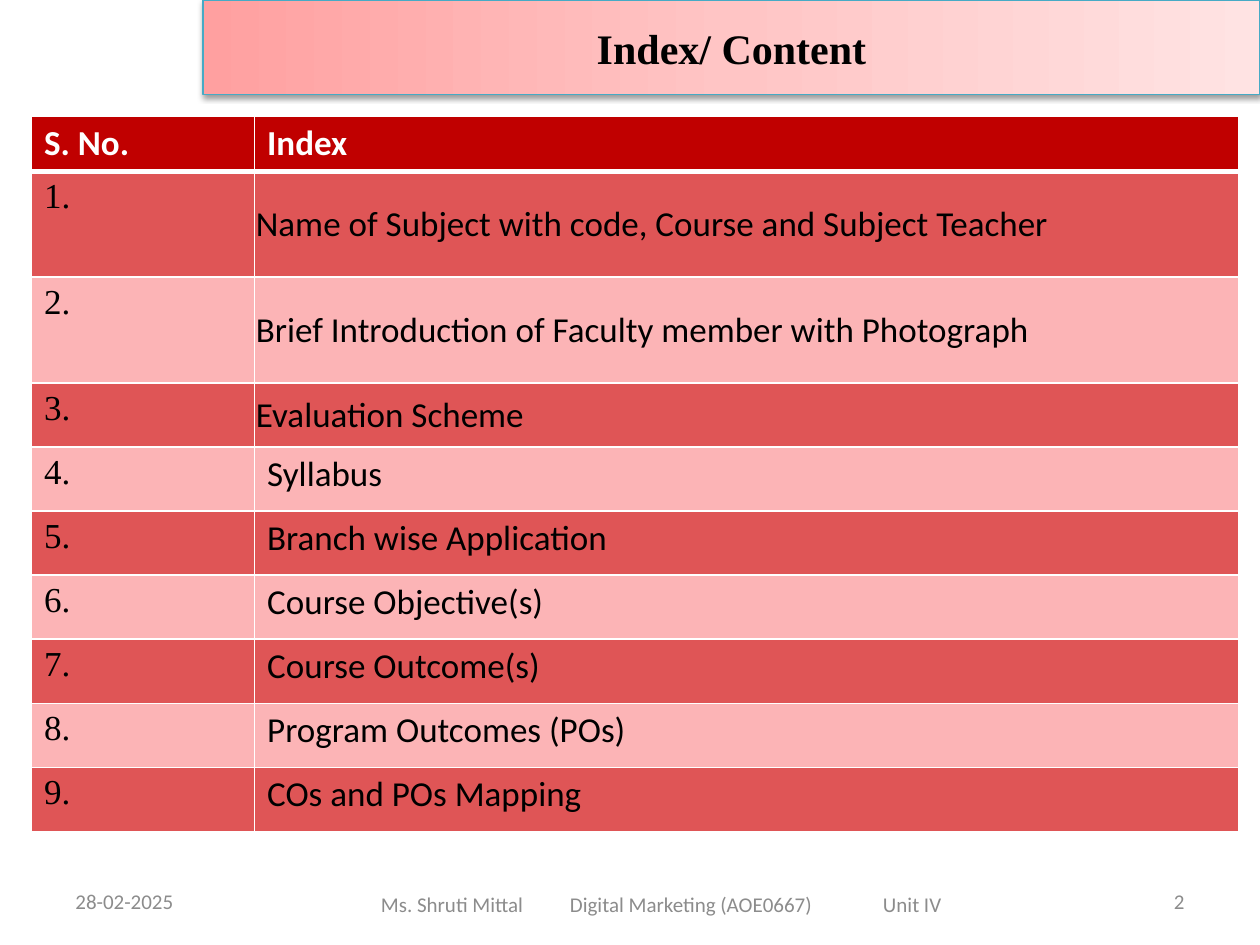
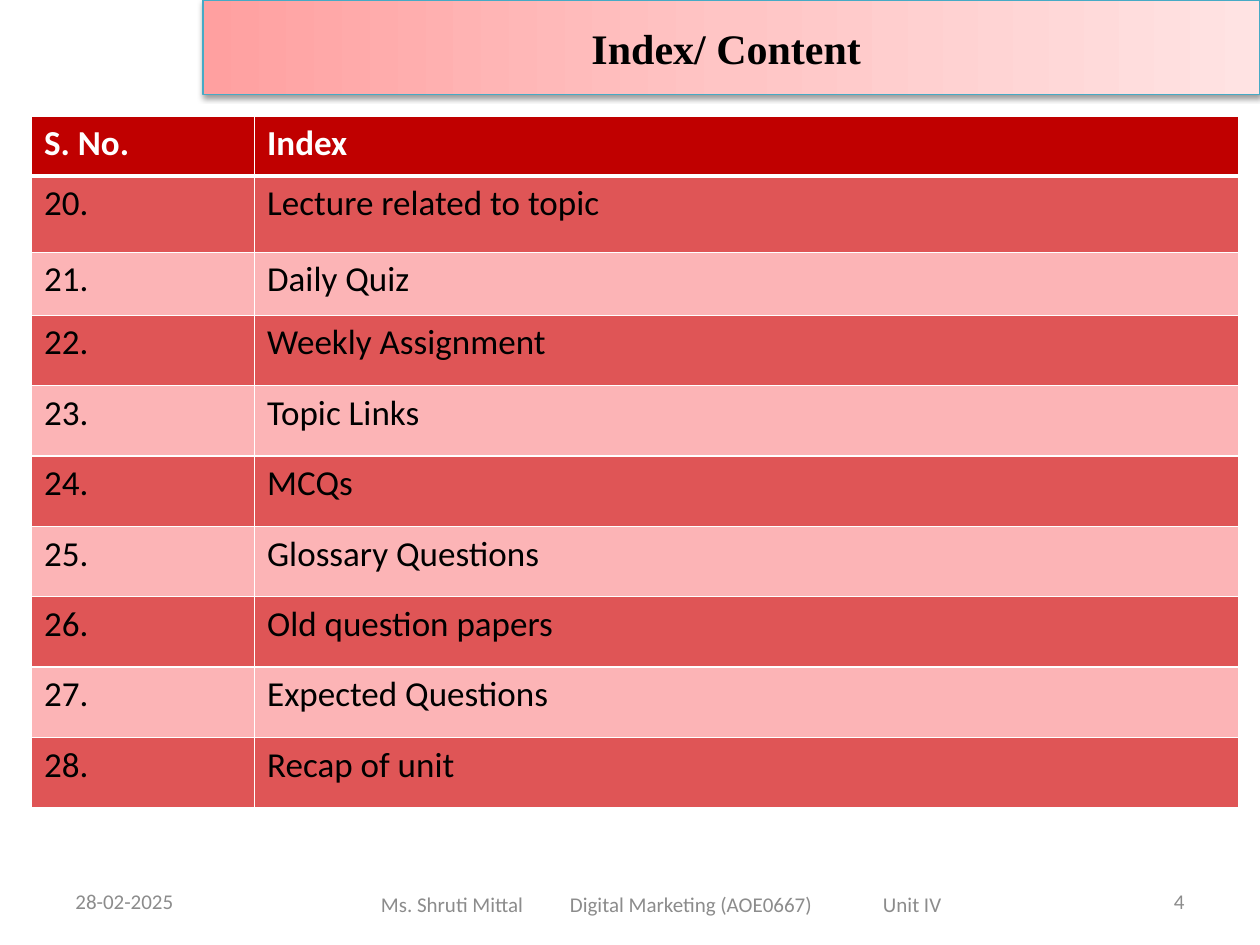
import pptx
import pptx.dml.color
import pptx.enum.text
import pptx.oxml
import pptx.oxml.ns
import pptx.util
from dataclasses import dataclass

Pt = pptx.util.Pt
Anchor = pptx.enum.text.MSO_ANCHOR
Align = pptx.enum.text.PP_ALIGN

COLUMN_HEADS = ("S. No.", "Index")
DATE = "28-02-2025"
FOOTER_PARTS = ("Ms. Shruti Mittal", "Digital Marketing (AOE0667)", "Unit IV")

INDEX_SLIDES = [
    {
        "title": "Index/ Content",
        "page": 2,
        "first_number": 1,
        "number_font": "Times New Roman",
        "flush_entries": 3,  # leading entries set tight to the cell edge
        "row_heights": [31.5] + [60.5] * 2 + [36.6] * 7,
        "entries": [
            "Name of Subject with code, Course and Subject Teacher",
            "Brief Introduction of Faculty member with Photograph",
            "Evaluation Scheme",
            "Syllabus",
            "Branch wise Application",
            "Course Objective(s)",
            "Course Outcome(s)",
            "Program Outcomes (POs)",
            "COs and POs Mapping",
        ],
    },
    {
        "title": "Index/ Content ",
        "page": 4,
        "first_number": 20,
        "number_font": "Calibri",
        "flush_entries": 0,
        "row_heights": [34.3, 43.7, 36] + [40.2] * 7,
        "entries": [
            "Lecture related to topic",
            "Daily Quiz",
            "Weekly Assignment",
            "Topic Links",
            "MCQs",
            "Glossary Questions",
            "Old question papers",
            "Expected Questions",
            "Recap of unit",
        ],
    },
]


@dataclass(frozen=True)
class Theme:
    title_font: str = "Times New Roman"
    body_font: str = "Calibri"
    title_size: float = 24
    table_size: float = 20
    footer_size: float = 12
    text: str = "000000"
    header_text: str = "FFFFFF"
    footer_text: str = "8C8C8C"
    header_fill: str = "C00000"
    row_fills: tuple = ("DF5556", "FCB4B6")
    border: str = "FFFFFF"
    band_line: str = "46AAC5"
    band_stops: tuple = ((0, "FFA0A0"), (50, "FFC5C5"), (100, "FFE3E3"))


THEME = Theme()
SLIDE_WIDTH, SLIDE_HEIGHT = 720, 540
BAND_LEFT, BAND_HEIGHT = 116, 54
TABLE_LEFT, TABLE_TOP = 18, 66.2
COLUMN_WIDTHS = (127.5, 562.3)
FOOTER_TOP, FOOTER_HEIGHT = 500.4, 28.8
FOOTER_INDENT, FOOTER_TABS = 37.7, (108, 286.9)


def rgb(color):
    return pptx.dml.color.RGBColor.from_string(color)


def drawing_element(tag, inner, attributes=""):
    return pptx.oxml.parse_xml(
        f'<a:{tag} {pptx.oxml.ns.nsdecls("a")} {attributes}>{inner}</a:{tag}>')


def style(paragraph, font, size, color, bold=False, align=Align.LEFT):
    paragraph.alignment = align
    paragraph.font.name = font
    paragraph.font.size = Pt(size)
    paragraph.font.bold = bold
    paragraph.font.color.rgb = rgb(color)


def add_title_band(slide, title):
    band = slide.shapes.title
    band.left, band.top = Pt(BAND_LEFT), Pt(0)
    band.width, band.height = Pt(SLIDE_WIDTH - BAND_LEFT), Pt(BAND_HEIGHT)
    band.fill.gradient()
    band.fill.gradient_angle = 0
    stops = "".join(
        f'<a:gs pos="{position * 1000}"><a:srgbClr val="{color}"/></a:gs>'
        for position, color in THEME.band_stops)
    properties = band._element.spPr
    gradient = properties.find(pptx.oxml.ns.qn("a:gradFill"))
    gradient.replace(gradient.find(pptx.oxml.ns.qn("a:gsLst")),
                     drawing_element("gsLst", stops))
    band.line.color.rgb = rgb(THEME.band_line)
    band.line.width = Pt(0.75)
    properties.append(drawing_element(
        "effectLst",
        f'<a:outerShdw blurRad="{Pt(3.1)}" dist="{Pt(1.6)}" dir="5400000" rotWithShape="0">'
        '<a:srgbClr val="000000"><a:alpha val="38000"/></a:srgbClr></a:outerShdw>'))
    frame = band.text_frame
    frame.text = title
    frame.auto_size = pptx.enum.text.MSO_AUTO_SIZE.NONE
    frame.vertical_anchor = Anchor.MIDDLE
    style(frame.paragraphs[0], THEME.title_font, THEME.title_size, THEME.text,
          bold=True, align=Align.CENTER)


def set_borders(cell, widths):
    properties = cell._tc.get_or_add_tcPr()
    for side, width in widths.items():
        properties.append(drawing_element(
            f"ln{side}",
            f'<a:solidFill><a:srgbClr val="{THEME.border}"/></a:solidFill>',
            f'w="{Pt(width)}"'))


def fill_cell(cell, text, row, font):
    is_header = row == 0
    set_borders(cell, {"L": 1, "R": 1, "T": 3 if row == 1 else 1, "B": 3 if is_header else 1})
    cell.fill.solid()
    cell.fill.fore_color.rgb = rgb(
        THEME.header_fill if is_header else THEME.row_fills[(row - 1) % 2])
    cell.text = text
    style(cell.text_frame.paragraphs[0], font, THEME.table_size,
          THEME.header_text if is_header else THEME.text, bold=is_header)


def add_index_table(slide, content):
    entries, heights = content["entries"], content["row_heights"]
    table = slide.shapes.add_table(
        len(heights), len(COLUMN_WIDTHS), Pt(TABLE_LEFT), Pt(TABLE_TOP),
        Pt(sum(COLUMN_WIDTHS)), Pt(sum(heights))).table
    for column, width in zip(table.columns, COLUMN_WIDTHS):
        column.width = Pt(width)
    for row, height in zip(table.rows, heights):
        row.height = Pt(height)

    numbered = [(f"{number}.", entry)
                for number, entry in enumerate(entries, content["first_number"])]
    for row, texts in enumerate([COLUMN_HEADS] + numbered):
        number_font = content["number_font"] if row else THEME.body_font
        for column, font in enumerate((number_font, THEME.body_font)):
            fill_cell(table.cell(row, column), texts[column], row, font)

    for row in range(1, content["flush_entries"] + 1):
        entry_cell = table.cell(row, 1)
        entry_cell.vertical_anchor = Anchor.MIDDLE
        entry_cell.margin_left = entry_cell.margin_right = entry_cell.margin_top = Pt(0.75)
        entry_cell.margin_bottom = Pt(0)


def add_footer_text(slide, text, left, width, top=FOOTER_TOP, align=Align.LEFT, tabs=()):
    frame = slide.shapes.add_textbox(
        Pt(left), Pt(top), Pt(width), Pt(FOOTER_HEIGHT)).text_frame
    frame.word_wrap = True
    frame.vertical_anchor = Anchor.MIDDLE
    frame.text = text
    paragraph = frame.paragraphs[0]
    if tabs:
        stops = "".join(f'<a:tab pos="{Pt(tab)}" algn="l"/>' for tab in tabs)
        paragraph._p.get_or_add_pPr().append(drawing_element("tabLst", stops))
    style(paragraph, THEME.body_font, THEME.footer_size, THEME.footer_text, align=align)
    return frame


def add_footer(slide, page):
    add_footer_text(slide, DATE, 36, 168)
    course = add_footer_text(slide, "\t".join(FOOTER_PARTS), 180, 396,
                             top=FOOTER_TOP + 1.6, tabs=FOOTER_TABS)
    course.margin_left = Pt(FOOTER_INDENT)
    add_footer_text(slide, str(page), 516, 168, align=Align.RIGHT)


def main():
    presentation = pptx.Presentation()
    presentation.slide_width = Pt(SLIDE_WIDTH)
    presentation.slide_height = Pt(SLIDE_HEIGHT)
    title_only = presentation.slide_layouts.get_by_name("Title Only")
    for content in INDEX_SLIDES:
        slide = presentation.slides.add_slide(title_only)
        add_title_band(slide, content["title"])
        add_index_table(slide, content)
        add_footer(slide, content["page"])
    presentation.save("out.pptx")


if __name__ == "__main__":
    main()
